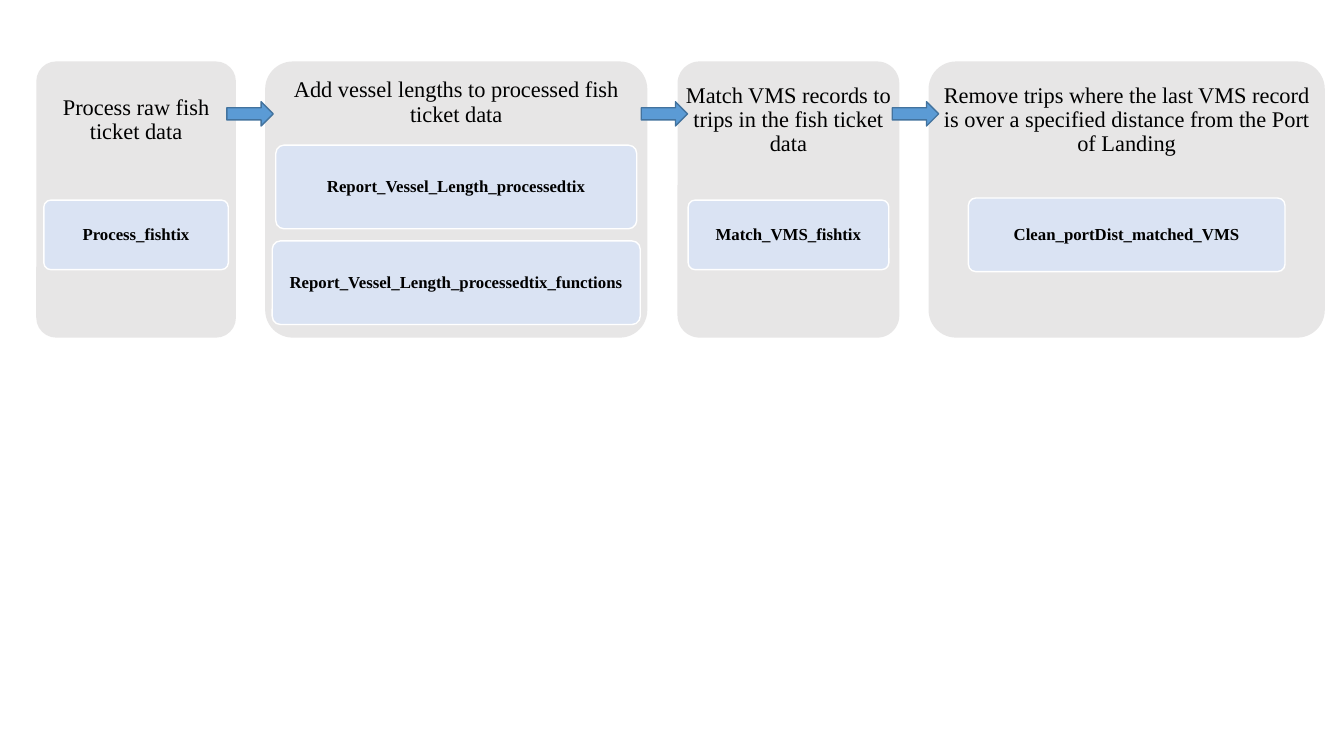
from pptx import Presentation
from pptx import util as u
from pptx.dml.color import RGBColor
from pptx.enum import shapes, text

PANEL_GREY = RGBColor(0xE7, 0xE6, 0xE6)
CARD_BLUE = RGBColor(0xDA, 0xE3, 0xF3)
ARROW_BLUE = RGBColor(0x5B, 0x9B, 0xD5)
ARROW_EDGE = RGBColor(0x43, 0x73, 0x9E)
WHITE = RGBColor(0xFF, 0xFF, 0xFF)
BLACK = RGBColor(0, 0, 0)

PANEL_TOP, PANEL_HEIGHT = 0.61, 2.74
HEADING_HEIGHT = 0.82
CARD_MIDDLE = 2.33
CARD_PITCH = 0.95
ARROW_TOP, ARROW_WIDTH, ARROW_HEIGHT = 1.01, 0.46, 0.24

STEPS = [
    (0.36, 1.98, 0.78, "Process raw fish ticket data",
     [("Process_fishtix", 1.83, 0.69)]),
    (2.63, 3.79, 0.61, "Add vessel lengths to processed fish ticket data",
     [("Report_Vessel_Length_processedtix", 3.58, 0.83),
      ("Report_Vessel_Length_processedtix_functions", 3.65, 0.83)]),
    (6.72, 2.2, 0.78, "Match VMS records to trips in the fish ticket data",
     [("Match_VMS_fishtix", 1.99, 0.69)]),
    (9.21, 3.93, 0.78,
     "Remove trips where the last VMS record is over a specified distance "
     "from the Port of Landing",
     [("Clean_portDist_matched_VMS", 3.14, 0.73)]),
]
ARROW_LEFTS = [2.25, 6.36, 8.85]


class FlowSlide:
    font = {"name": "Times New Roman"}
    heading_font = {"size": u.Pt(16), "bold": False}
    card_font = {"size": u.Pt(12), "bold": True}
    paragraph = {"alignment": text.PP_ALIGN.CENTER, "line_spacing": 0.9}

    def __init__(self, slide):
        self.shapes = slide.shapes

    def apply(self, target, values):
        for name, value in values.items():
            setattr(target, name, value)

    def shape(self, kind, box, fill, line=None):
        sp = self.shapes.add_shape(kind, *map(u.Inches, box))
        sp.shadow.inherit = False
        sp.fill.solid()
        sp.fill.fore_color.rgb = fill
        if line is None:
            sp.line.fill.background()
        else:
            sp.line.color.rgb = line
            sp.line.width = u.Pt(1)
        return sp

    def rounded(self, box, fill, line=None):
        sp = self.shape(shapes.MSO_SHAPE.ROUNDED_RECTANGLE, box, fill, line)
        sp.adjustments[0] = 0.1
        return sp

    def label(self, sp, words, font, inset):
        tf = sp.text_frame
        sides = ("left", "top", "right", "bottom")
        self.apply(tf, {f"margin_{side}": u.Inches(inset) for side in sides})
        self.apply(tf, {"word_wrap": True,
                        "vertical_anchor": text.MSO_ANCHOR.MIDDLE})
        p = tf.paragraphs[0]
        self.apply(p, self.paragraph)
        r = p.add_run()
        r.text = words
        self.apply(r.font, {**self.font, **font})
        r.font.color.rgb = BLACK

    def panel(self, left, width):
        self.rounded((left, PANEL_TOP, width, PANEL_HEIGHT), PANEL_GREY)

    def heading(self, left, top, width, words):
        sp = self.shapes.add_textbox(
            *map(u.Inches, (left, top, width, HEADING_HEIGHT)))
        self.label(sp, words, self.heading_font, 0.07)

    def card(self, center, middle, width, height, words):
        box = (center - width / 2, middle - height / 2, width, height)
        self.label(self.rounded(box, CARD_BLUE, WHITE), words,
                   self.card_font, 0.05)

    def arrow(self, left):
        self.shape(shapes.MSO_SHAPE.RIGHT_ARROW,
                   (left, ARROW_TOP, ARROW_WIDTH, ARROW_HEIGHT),
                   ARROW_BLUE, ARROW_EDGE)


def main():
    prs = Presentation()
    prs.slide_width = u.Inches(13.33)
    prs.slide_height = u.Inches(7.5)
    s = FlowSlide(prs.slides.add_slide(prs.slide_layouts[6]))

    for left, width, heading_top, heading, cards in STEPS:
        s.panel(left, width)
        s.heading(left, heading_top, width, heading)
        for i, (words, card_width, card_height) in enumerate(cards):
            middle = CARD_MIDDLE + (i - (len(cards) - 1) / 2) * CARD_PITCH
            s.card(left + width / 2, middle, card_width, card_height, words)

    for left in ARROW_LEFTS:
        s.arrow(left)

    prs.save("out.pptx")


if __name__ == "__main__":
    main()
